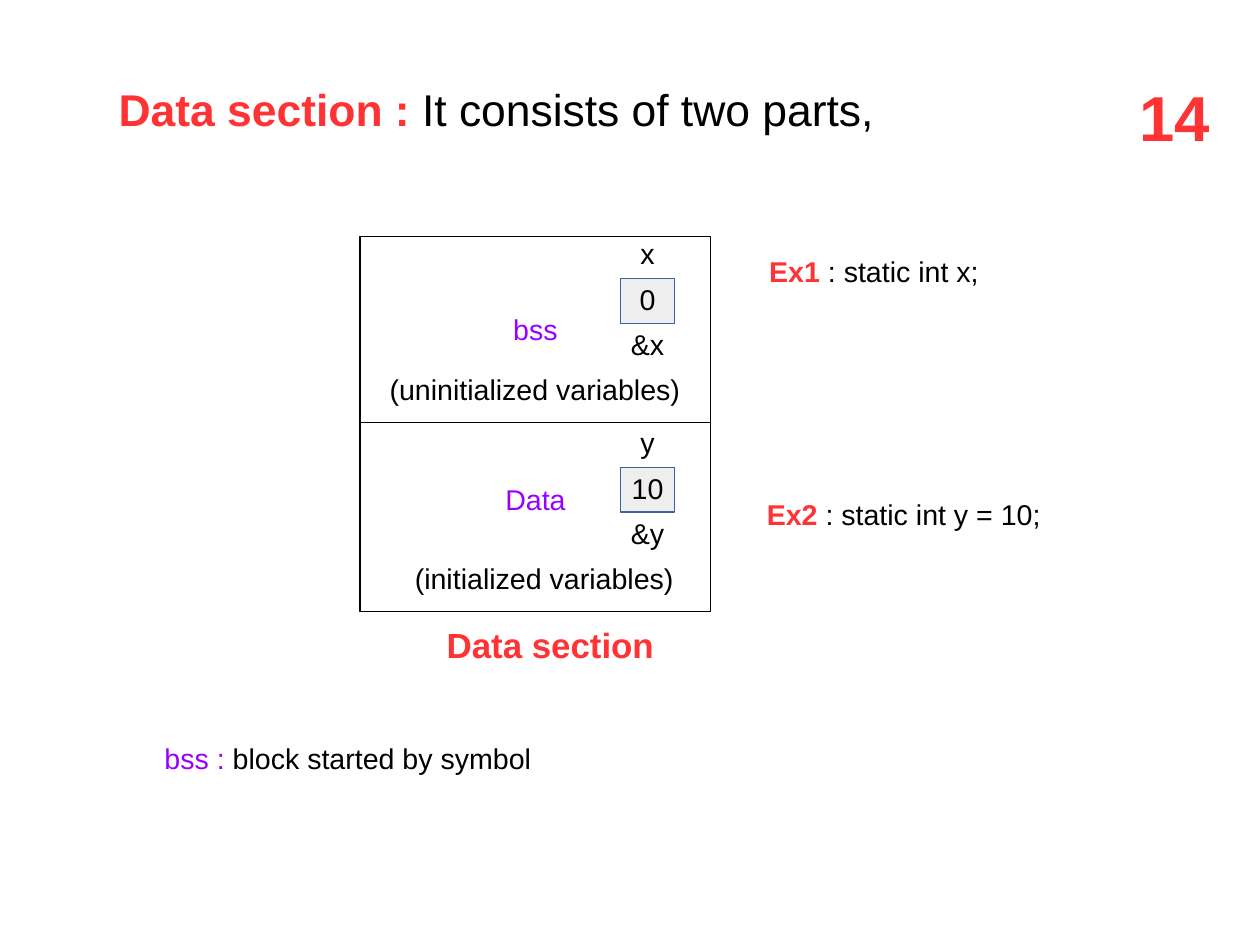
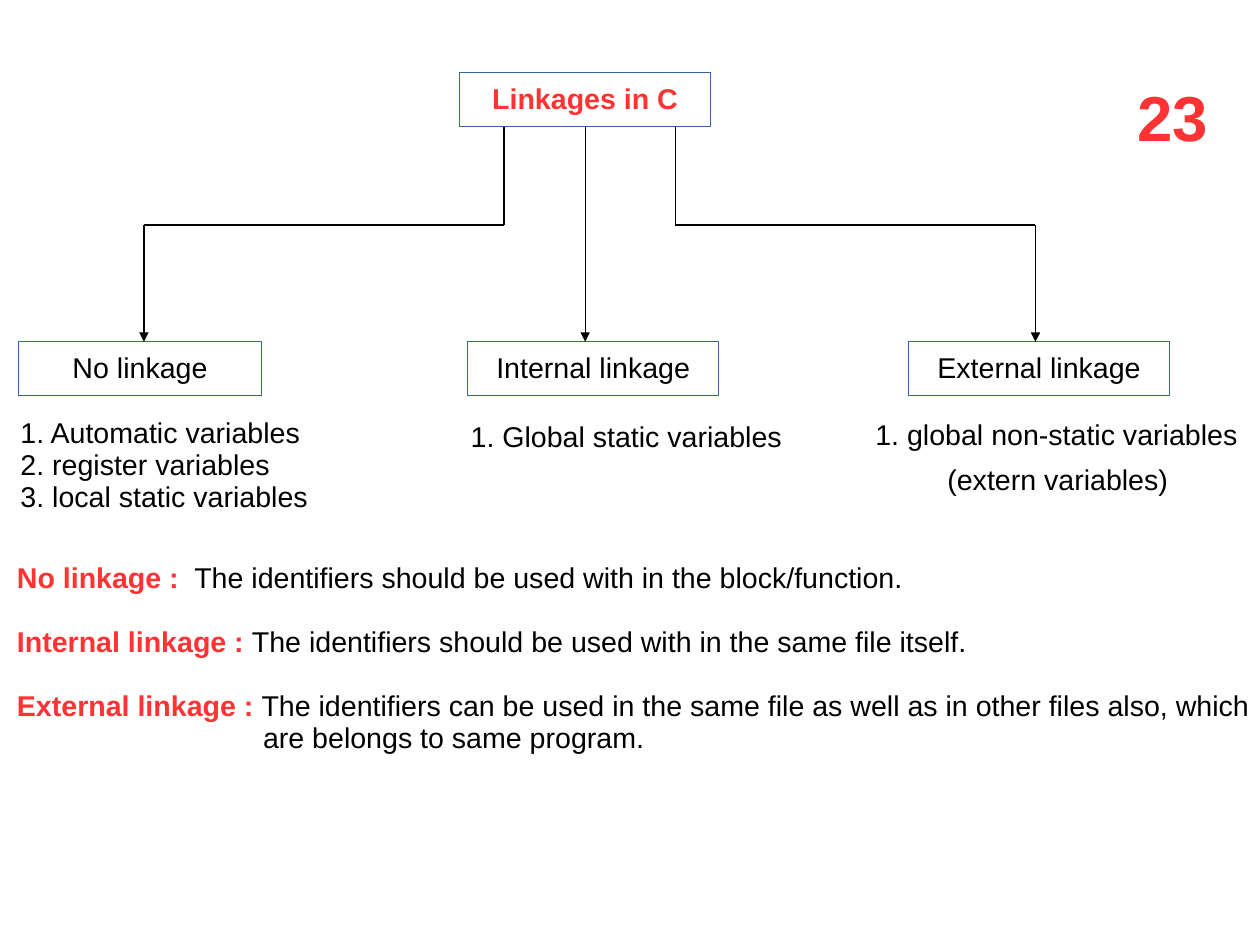
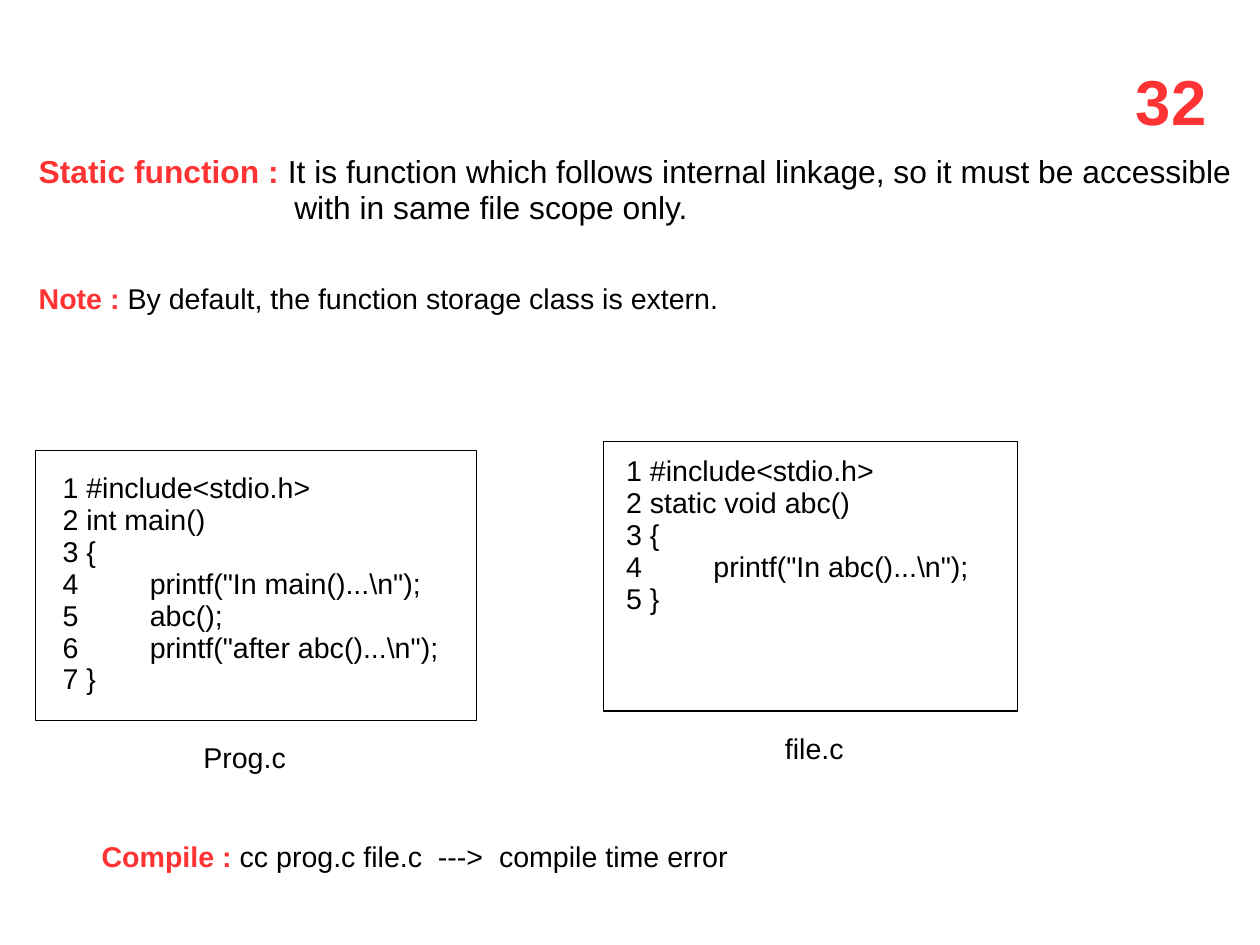
from lxml.etree import SubElement
from pptx import Presentation
from pptx.dml.color import RGBColor
from pptx.enum.shapes import MSO_CONNECTOR, MSO_SHAPE
from pptx.enum.text import MSO_ANCHOR, PP_ALIGN
from pptx.oxml.ns import qn
from pptx.util import Pt

BLACK = RGBColor(0x00, 0x00, 0x00)
WHITE = RGBColor(0xFF, 0xFF, 0xFF)
RED = RGBColor(0xFF, 0x33, 0x33)
PURPLE = RGBColor(0x99, 0x00, 0xFF)
BLUE = RGBColor(0x34, 0x65, 0xA4)
GREY = RGBColor(0xEE, 0xEE, 0xEE)


class Deck:
    """Hold the shared style and the slide being built."""

    font = "Arial"
    body_size = 18
    line_spacing = 0.93
    line_width = Pt(0.75)

    def __init__(self):
        self.presentation = Presentation()
        self.presentation.slide_width = Pt(793.7)
        self.presentation.slide_height = Pt(595.3)
        self.slide = None

    def new_slide(self, number, left, top):
        self.slide = self.presentation.slides.add_slide(self.presentation.slide_layouts[6])
        self.text(left, top, 62, 55, [[(str(number), RED)]], size=40)

    def set_paragraphs(self, frame, paragraphs, size=body_size, align=PP_ALIGN.LEFT,
                       hanging=0, space_after=0, tab=0):
        for index, runs in enumerate(paragraphs):
            paragraph = frame.paragraphs[0] if index == 0 else frame.add_paragraph()
            layout = {"alignment": align, "line_spacing": self.line_spacing,
                      "space_after": Pt(space_after)}
            for name, value in layout.items():
                setattr(paragraph, name, value)
            properties = paragraph._p.get_or_add_pPr()
            if hanging and index == len(paragraphs) - 1:
                properties.set("marL", str(Pt(hanging)))
                properties.set("indent", str(-Pt(hanging)))
            if tab:
                tabs = SubElement(properties, qn("a:tabLst"))
                SubElement(tabs, qn("a:tab"), pos=str(Pt(tab)), algn="l")
            for words, color in runs:
                run = paragraph.add_run()
                run.text = words
                style = {"name": self.font, "size": Pt(size), "bold": color == RED}
                for name, value in style.items():
                    setattr(run.font, name, value)
                run.font.color.rgb = color

    def text(self, left, top, width, height, paragraphs, **style):
        box = self.slide.shapes.add_textbox(Pt(left), Pt(top), Pt(width), Pt(height))
        centred = style.get("align") == PP_ALIGN.CENTER
        layout = {"word_wrap": True, "margin_left": Pt(0 if centred else 7.2),
                  "margin_right": 0, "margin_top": Pt(3.6), "margin_bottom": Pt(3.6)}
        for name, value in layout.items():
            setattr(box.text_frame, name, value)
        self.set_paragraphs(box.text_frame, paragraphs, **style)

    def box(self, left, top, width, height, runs=(), fill=WHITE, outline=BLUE, lift=0):
        shape = self.slide.shapes.add_shape(
            MSO_SHAPE.RECTANGLE, Pt(left), Pt(top), Pt(width), Pt(height))
        shape.shadow.inherit = False
        shape.fill.solid()
        shape.fill.fore_color.rgb = fill
        shape.line.color.rgb = outline
        shape.line.width = self.line_width
        if runs:
            layout = {"word_wrap": False, "vertical_anchor": MSO_ANCHOR.MIDDLE,
                      "margin_bottom": Pt(3.6 + lift)}
            for name, value in layout.items():
                setattr(shape.text_frame, name, value)
            self.set_paragraphs(shape.text_frame, [runs], align=PP_ALIGN.CENTER)
        return shape

    def line(self, start, end, arrow=False):
        connector = self.slide.shapes.add_connector(
            MSO_CONNECTOR.STRAIGHT, *(Pt(value) for value in (*start, *end)))
        connector.line.color.rgb = BLACK
        connector.line.width = self.line_width
        properties = connector.element.spPr
        SubElement(properties, qn("a:effectLst"))
        if arrow:
            SubElement(properties.find(qn("a:ln")), qn("a:tailEnd"), type="triangle")
        return connector


def build_data_section(deck):
    deck.new_slide(14, 710.6, 49.7)
    deck.text(67.7, 51.1, 520, 41, [
        [("Data section : ", RED), ("It consists of two parts,", BLACK)]], size=28)
    blocks = [
        (149, 147.2, "bss", 0, "x", "0", "(uninitialized variables)", 238.3),
        (266.4, 266.2, "Data", 20, "y", "10", "(initialized variables)", 254.2),
    ]
    for top, base, name, lift, variable, value, caption, caption_left in blocks:
        deck.box(226.8, top, 221, 118.8, [(name, PURPLE)], outline=BLACK, lift=lift)
        deck.box(391, base + 28.4, 33.8, 28, [(value, BLACK)], fill=GREY)
        for offset, label in ((0, variable), (57, "&" + variable)):
            deck.text(391, base + offset, 33.8, 28.8, [[(label, BLACK)]],
                      align=PP_ALIGN.CENTER)
        deck.text(caption_left, base + 85.3, 197, 28.8, [[(caption, BLACK)]])
    deck.text(274.3, 391.7, 150, 34, [[("Data section", RED)]], size=22)
    deck.text(96.5, 465.1, 250, 28.8, [
        [("bss : ", PURPLE), ("block started by symbol", BLACK)]])
    examples = [(477.4, 158.4, "Ex1", " : static int x;"),
                (475.9, 311.4, "Ex2", " : static int y = 10;")]
    for left, top, name, code in examples:
        deck.text(left, top, 190, 28.8, [[(name, RED), (code, BLACK)]])


def build_linkages(deck):
    deck.new_slide(23, 709.2, 49.7)
    root_bottom, bend, child_top = 79.9, 141.8, 215.3
    root = deck.box(289.4, 45.4, 158.4, root_bottom - 45.4, [("Linkages in C", RED)])
    children = [(11.5, 153.4, "No linkage"), (294.5, 158.4, "Internal linkage"),
                (572.4, 164.2, "External linkage")]
    for left, width, name in children:
        deck.box(left, child_top, width, 33.8, [(name, BLACK)])
    stem = deck.line((368.6, root_bottom), (368.6, child_top), arrow=True)
    stem.begin_connect(root, 2)
    for start, end in ((317.5, 90.7), (425.5, 652.3)):
        deck.line((start, root_bottom), (start, bend))
        deck.line((start, bend), (end, bend))
        deck.line((end, bend), (end, child_top), arrow=True)
    lists = [
        (5.8, 259.9, 200, ["1. Automatic variables", "2. register variables",
                           "3. local static variables"]),
        (289.4, 262.1, 215, ["1. Global static variables"]),
        (544.3, 260.9, 248, ["1. global non-static variables"]),
        (589.7, 289.4, 160, ["(extern variables)"]),
    ]
    for left, top, width, items in lists:
        deck.text(left, top, width, 8.8 + 20 * len(items),
                  [[(item, BLACK)] for item in items])
    deck.text(3.6, 351.4, 790, 129, [
        [("No linkage :", RED),
         ("  The identifiers should be used with in the block/function.", BLACK)],
        [("Internal linkage : ", RED),
         ("The identifiers should be used with in the same file itself.", BLACK)],
        [("External linkage : ", RED),
         ("The identifiers can be used in the same file as well as in other files also, "
          "which are belongs to same program.", BLACK)],
    ], hanging=155, space_after=20)


def build_static_function(deck):
    deck.new_slide(32, 708.5, 39.6)
    deck.text(17.3, 94.3, 766, 53, [
        [("Static function : ", RED),
         ("It is function which follows internal linkage, so it must be accessible "
          "with in same file scope only.", BLACK)]], size=20, hanging=161)
    deck.text(17.3, 175.7, 450, 28.8, [
        [("Note : ", RED), ("By default, the function storage class is extern.", BLACK)]])
    files = [
        ((22.3, 283.7, 278), (32.3, 294.5), (121, 464.4), "Prog.c",
         ["1 #include<stdio.h>", "2 int main()", "3 {", '4\tprintf("In main()...\\n");',
          "5\tabc();", '6\tprintf("after abc()...\\n");', "7 }"]),
        ((380.2, 277.9, 260.6), (387.3, 283.7), (487.4, 458.6), "file.c",
         ["1 #include<stdio.h>", "2 static void abc()", "3 {",
          '4\tprintf("In abc()...\\n");', "5 }"]),
    ]
    for frame, code_corner, name_corner, name, code in files:
        deck.box(*frame, 170, outline=BLACK)
        deck.text(*code_corner, 250, 149, [[(line, BLACK)] for line in code], tab=55)
        deck.text(*name_corner, 66, 28.8, [[(name, BLACK)]])
    deck.text(56.9, 527, 420, 28.8, [
        [("Compile :", RED), (" cc prog.c file.c  --->  compile time error", BLACK)]])


def main():
    deck = Deck()
    build_data_section(deck)
    build_linkages(deck)
    build_static_function(deck)
    deck.presentation.save("out.pptx")


if __name__ == "__main__":
    main()
